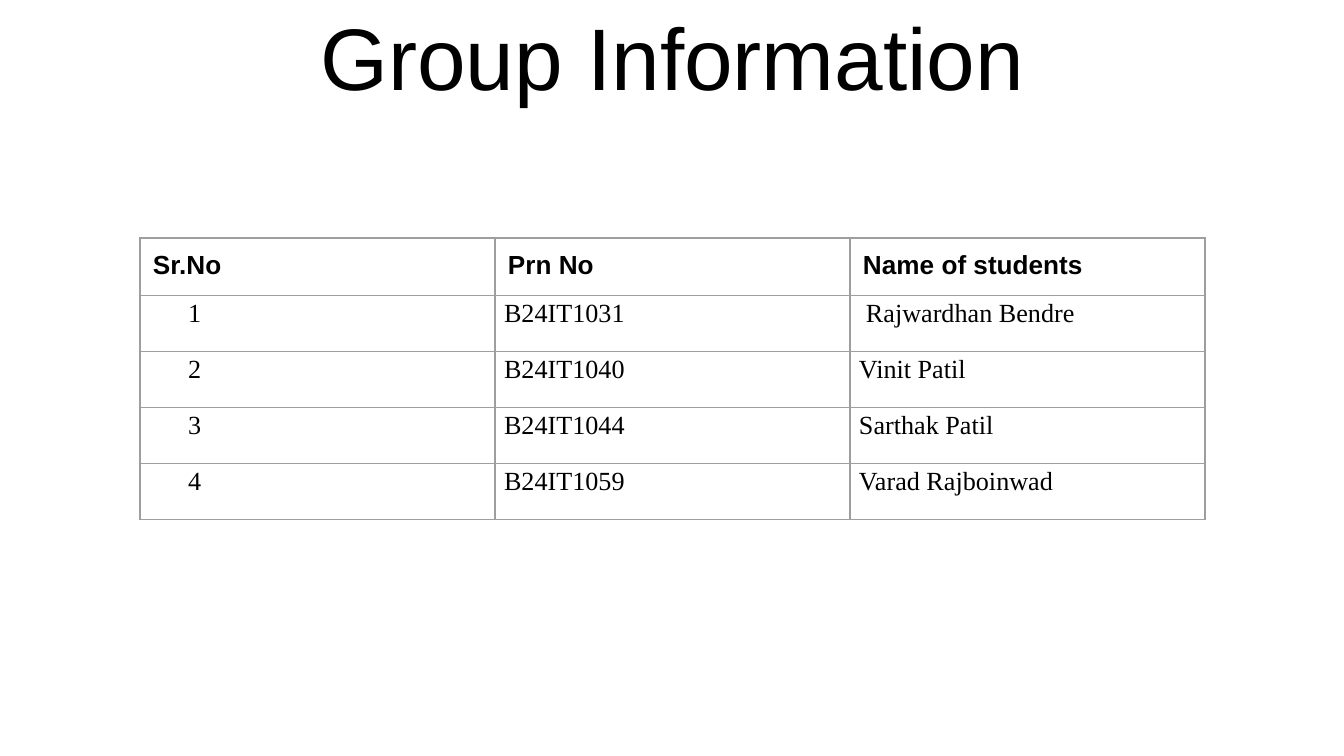
"""Build the group information slide."""
import pptx
import pptx.dml.color
import pptx.enum.text
import pptx.oxml
import pptx.oxml.ns
import pptx.util

TITLE = "Group Information"
HEADER = ("Sr.No", "Prn No", "Name of students")
STUDENTS = [
    ("1", "B24IT1031", "Rajwardhan Bendre"),
    ("2", "B24IT1040", "Vinit Patil"),
    ("3", "B24IT1044", "Sarthak Patil"),
    ("4", "B24IT1059", "Varad Rajboinwad"),
]
INDENTS = {(1, 2): 7, **{(row, 0): 39 for row in range(1, len(STUDENTS) + 1)}}
SLIDE_WIDTH, SLIDE_HEIGHT = 1344, 756
TABLE_LEFT, TABLE_TOP = 140, 238
COLUMN_WIDTH, ROW_HEIGHT = 355, 56
BLACK, WHITE, GREY = "000000", "FFFFFF", "9E9E9E"


def px(length):
    return pptx.util.Emu(round(length * 914400 / 134.4))


def color(value):
    return pptx.dml.color.RGBColor.from_string(value)


def write(frame, text, size, font="Arial", bold=False, align="LEFT", spacing=1.0):
    paragraph = frame.paragraphs[0]
    paragraph.alignment = getattr(pptx.enum.text.PP_ALIGN, align)
    paragraph.line_spacing = spacing
    run = paragraph.add_run()
    run.text = text
    run.font.name = font
    run.font.size = pptx.util.Pt(size)
    run.font.bold = bold
    run.font.color.rgb = color(BLACK)


def set_margins(target, left, top, right, bottom):
    target.margin_left, target.margin_top = px(left), px(top)
    target.margin_right, target.margin_bottom = px(right), px(bottom)


def add_borders(cell):
    properties = cell._tc.get_or_add_tcPr()
    for index, side in enumerate(("lnL", "lnR", "lnT", "lnB")):
        properties.insert(index, pptx.oxml.parse_xml(
            f'<a:{side} {pptx.oxml.ns.nsdecls("a")} w="{pptx.util.Pt(0.75)}">'
            f'<a:solidFill><a:srgbClr val="{GREY}"/></a:solidFill></a:{side}>'))


def add_title(slide):
    title = slide.shapes.add_textbox(px(46), px(23), px(1253), px(98))
    frame = title.text_frame
    frame.word_wrap = True
    frame.vertical_anchor = pptx.enum.text.MSO_ANCHOR.BOTTOM
    set_margins(frame, 13, 13, 13, 13)
    write(frame, TITLE, 46.8, align="CENTER")


def add_student_table(slide):
    rows = [HEADER, *STUDENTS]
    table = slide.shapes.add_table(
        len(rows), len(HEADER), px(TABLE_LEFT), px(TABLE_TOP),
        px(COLUMN_WIDTH * len(HEADER)), px(ROW_HEIGHT * len(rows))).table
    for column in table.columns:
        column.width = px(COLUMN_WIDTH)
    for row_index, texts in enumerate(rows):
        table.rows[row_index].height = px(ROW_HEIGHT)
        for column_index, text in enumerate(texts):
            cell = table.cell(row_index, column_index)
            cell.fill.solid()
            cell.fill.fore_color.rgb = color(WHITE)
            add_borders(cell)
            if row_index == 0:
                set_margins(cell, 13, 13, 13, 13)
                write(cell.text_frame, text, 14, bold=True)
            else:
                indent = INDENTS.get((row_index, column_index), 0)
                set_margins(cell, 9 + indent, 0, 9, 0)
                write(cell.text_frame, text, 14, font="Times New Roman", spacing=1.15)


def main():
    presentation = pptx.Presentation()
    presentation.slide_width = px(SLIDE_WIDTH)
    presentation.slide_height = px(SLIDE_HEIGHT)
    slide = presentation.slides.add_slide(presentation.slide_layouts[6])
    add_title(slide)
    add_student_table(slide)
    presentation.save("out.pptx")


if __name__ == "__main__":
    main()
